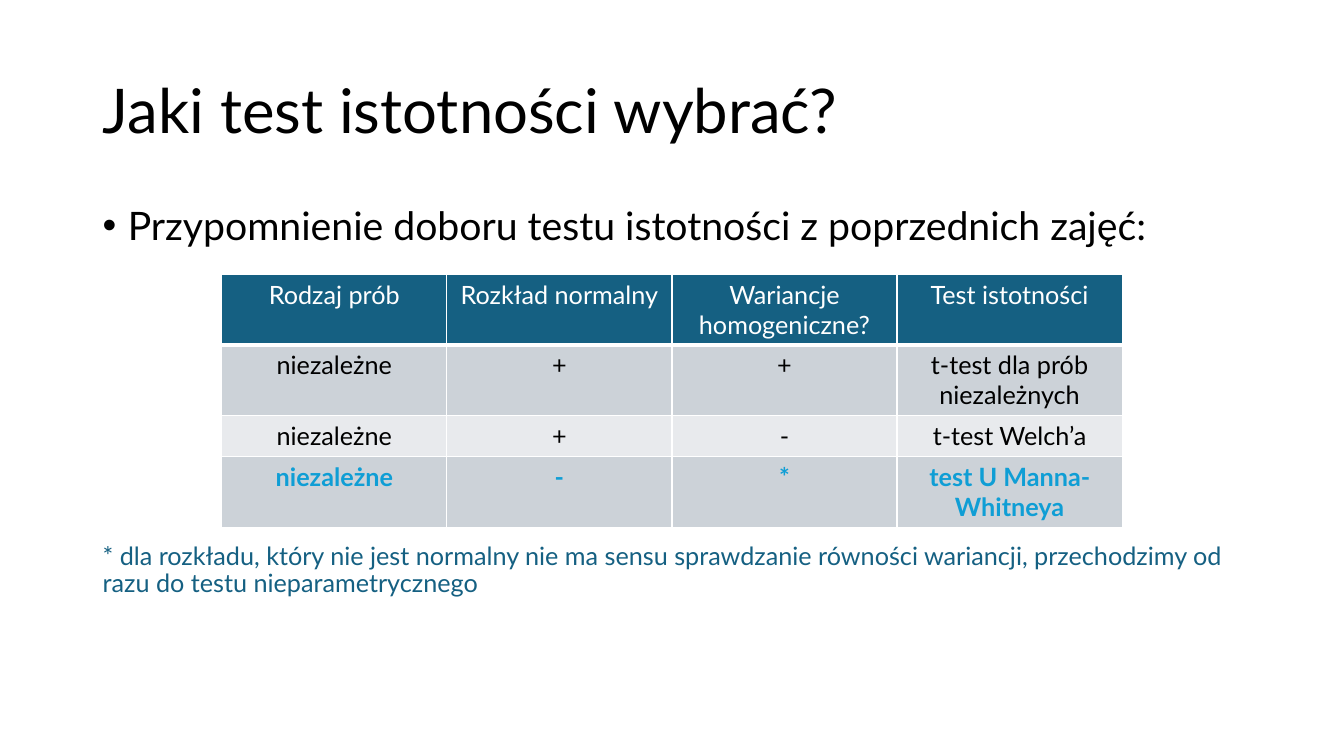
import pptx
import pptx.dml.color
import pptx.enum.text
import pptx.oxml
import pptx.oxml.ns
import pptx.util

Inches = pptx.util.Inches
Pt = pptx.util.Pt
ALIGN = pptx.enum.text.PP_ALIGN
ANCHOR = pptx.enum.text.MSO_ANCHOR

FONT = "Lato"
COLORS = {"text": "000000", "white": "FFFFFF", "header": "156082",
          "dark_band": "CCD2D8", "light_band": "E8EAED", "accent": "0F9ED5"}

HEADERS = ["Rodzaj prób", "Rozkład normalny", "Wariancje homogeniczne?", "Test istotności"]
TESTS = [
    ["niezależne", "+", "+", "t-test dla prób niezależnych"],
    ["niezależne", "+", "-", "t-test Welch’a"],
    ["niezależne", "-", "*", "test U Manna-Whitneya"],
]
ROW_HEIGHTS = [0.7, 0.7, 0.41, 0.7]


def rgb(name):
    return pptx.dml.color.RGBColor.from_string(COLORS[name])


def add_span(para, text, size, color, bold=False):
    span = para.add_run()
    span.text = text
    span.font.name = FONT
    span.font.size = Pt(size)
    span.font.bold = bold
    span.font.color.rgb = rgb(color)


def place(shape, box):
    shape.left, shape.top, shape.width, shape.height = (Inches(value) for value in box)


def add_title(page, box, text):
    title = page.shapes.title
    place(title, box)
    frame = title.text_frame
    frame.auto_size = pptx.enum.text.MSO_AUTO_SIZE.NONE
    frame.vertical_anchor = ANCHOR.MIDDLE
    para = frame.paragraphs[0]
    para.alignment = ALIGN.LEFT
    para.line_spacing = 0.9
    add_span(para, text, 44, "text")


def add_text(page, box, text, size, color, bullet=False):
    frame = page.shapes.add_textbox(*(Inches(value) for value in box)).text_frame
    frame.word_wrap = True
    para = frame.paragraphs[0]
    para.line_spacing = 0.9
    if bullet:
        properties = para._p.get_or_add_pPr()
        properties.set("marL", str(Inches(0.25)))
        properties.set("indent", str(-Inches(0.25)))
        namespace = pptx.oxml.ns.nsdecls("a")
        properties.append(pptx.oxml.parse_xml(f'<a:buFont {namespace} typeface="Arial"/>'))
        properties.append(pptx.oxml.parse_xml(f'<a:buChar {namespace} char="•"/>'))
    add_span(para, text, size, color)


def set_borders(cell, bottom_width):
    properties = cell._tc.get_or_add_tcPr()
    widths = {"lnL": 1, "lnR": 1, "lnT": 1, "lnB": bottom_width}
    for index, (side, width) in enumerate(widths.items()):
        properties.insert(index, pptx.oxml.parse_xml(
            f'<a:{side} {pptx.oxml.ns.nsdecls("a")} w="{Pt(width)}"><a:solidFill>'
            f'<a:srgbClr val="{COLORS["white"]}"/></a:solidFill></a:{side}>'))


def add_test_table(page, box):
    rows = [HEADERS] + TESTS
    table = page.shapes.add_table(len(rows), len(HEADERS),
                                  *(Inches(value) for value in box)).table
    for row, height in zip(table.rows, ROW_HEIGHTS):
        row.height = Inches(height)
    for row_index, texts in enumerate(rows):
        header = row_index == 0
        chosen = row_index == len(rows) - 1
        fill = "header" if header else "dark_band" if row_index % 2 else "light_band"
        color = "white" if header else "accent" if chosen else "text"
        for column_index, text in enumerate(texts):
            cell = table.cell(row_index, column_index)
            cell.fill.solid()
            cell.fill.fore_color.rgb = rgb(fill)
            set_borders(cell, 3 if header else 1)
            para = cell.text_frame.paragraphs[0]
            para.alignment = ALIGN.CENTER
            add_span(para, text, 18, color, chosen)


def main():
    deck = pptx.Presentation()
    deck.slide_width, deck.slide_height = Inches(13.33), Inches(7.5)
    page = deck.slides.add_slide(deck.slide_layouts[5])
    left, width = 0.92, 11.5

    # Title and lead-in
    add_title(page, (left, 0.4, width, 1.45), "Jaki test istotności wybrać?")
    add_text(page, (left, 2, width, 0.55),
             "Przypomnienie doboru testu istotności z poprzednich zajęć:",
             28, "text", bullet=True)

    # Choice of test
    add_test_table(page, (2.2, 2.72, 8.93, sum(ROW_HEIGHTS)))

    # Footnote to the table
    add_text(page, (left, 5.34, width, 0.65),
             "* dla rozkładu, który nie jest normalny nie ma sensu sprawdzanie równości "
             "wariancji, przechodzimy od razu do testu nieparametrycznego", 18, "header")

    deck.save("out.pptx")


if __name__ == "__main__":
    main()
